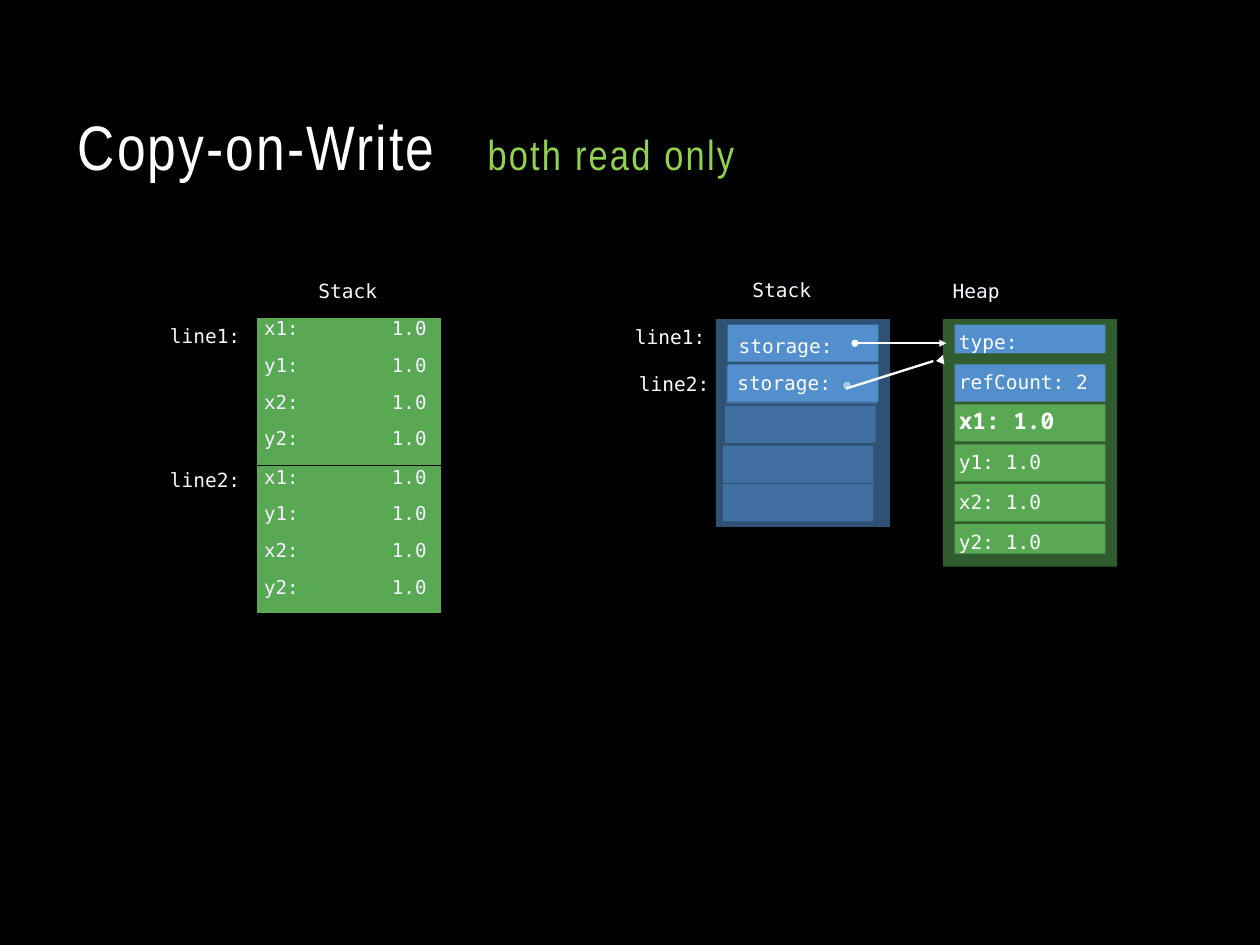
import lxml.etree
import pptx
import pptx.dml.color
import pptx.enum.shapes
import pptx.enum.text
import pptx.oxml.ns
import pptx.util

Pt = pptx.util.Pt
qn = pptx.oxml.ns.qn
SHAPES = pptx.enum.shapes.MSO_SHAPE
STRAIGHT = pptx.enum.shapes.MSO_CONNECTOR.STRAIGHT
ANCHOR_TOP = pptx.enum.text.MSO_ANCHOR.TOP
ALIGN = pptx.enum.text.PP_ALIGN
MONO = "DejaVu Sans Mono"
WHITE, PALE = "FFFFFF", "F7F7FF"
BLUE, GREEN = "528FCC", "58A854"
ROW_TOP, ROW_PITCH, ROW_WIDTH, ROW_HEIGHT = 339.84, 41.76, 157.7, 38.9


def paint(fill, color):
    fill.solid()
    fill.fore_color.rgb = pptx.dml.color.RGBColor.from_string(color)


def write(frame, text, size=20.4, font=MONO, color=WHITE, left=0, top=0):
    frame.text = text
    frame.word_wrap = True
    frame.vertical_anchor = ANCHOR_TOP
    frame.margin_left, frame.margin_top = Pt(left), Pt(top)
    frame.margin_right = frame.margin_bottom = 0
    para = frame.paragraphs[0]
    para.alignment = ALIGN.LEFT
    for span in para.runs:
        span.font.name = font
        span.font.size = Pt(size)
        paint(span.font.fill, color)


deck = pptx.Presentation()
deck.slide_width, deck.slide_height = Pt(1319), Pt(989.3)
page = deck.slides.add_slide(deck.slide_layouts[5])
paint(page.background.fill, "000000")

title = page.shapes.title
title.left, title.top, title.width, title.height = Pt(81.4), Pt(112.3), Pt(1156.3), Pt(80)
write(title.text_frame, "Copy-on-Write\t", 65.8, "Arial Narrow")
para = title.text_frame.paragraphs[0]
tabs = lxml.etree.SubElement(para._p.get_or_add_pPr(), qn("a:tabLst"))
lxml.etree.SubElement(tabs, qn("a:tab"), pos=str(Pt(429)), algn="l")
subtitle = para.add_run()
subtitle.text = "both read only"
subtitle.font.name = "Arial Narrow"
subtitle.font.size = Pt(44)
paint(subtitle.font.fill, "92D050")
for span in para.runs:
    span._r.get_or_add_rPr().set("spc", "230")

heap_rows = [
    ("type:", BLUE, 30.2),
    ("refCount: 2", BLUE, ROW_HEIGHT),
    ("x1: 1.0", GREEN, ROW_HEIGHT),
    ("y1: 1.0", GREEN, ROW_HEIGHT),
    ("x2: 1.0", GREEN, ROW_HEIGHT),
    ("y2: 1.0", GREEN, 31),
]
blocks = [("", 987.1, 334.1, 182.2, 259.2, "305C2F", 100)]
for index, (text, color, height) in enumerate(heap_rows):
    blocks.append((text, 999.4, ROW_TOP + index * ROW_PITCH, ROW_WIDTH, height, color, 100))
blocks.append(("", 749.5, 334.1, 182.2, 217.4, "2E5174", 100))
for index in range(2):
    blocks.append(("", 761.8, ROW_TOP + index * ROW_PITCH, ROW_WIDTH, ROW_HEIGHT, BLUE, 100))
blocks.append(("dot", 882.7, 399.6, 7.9, 7.9, WHITE, 100))
for left, top in [(760.3, 383.8), (758.9, 424.8), (756.7, 466.6), (756.7, 506.9)]:
    blocks.append(("", left, top, ROW_WIDTH, ROW_HEIGHT, BLUE, 50))
for left, top in [(769, 344.2), (767.5, 382.3)]:
    blocks.append(("storage:", left, top, 112.3, 30.2, BLUE, 100))

for text, left, top, width, height, color, opacity in blocks:
    kind = SHAPES.OVAL if text == "dot" else SHAPES.RECTANGLE
    block = page.shapes.add_shape(kind, Pt(left), Pt(top), Pt(width), Pt(height))
    block.shadow.inherit = False
    block.line.fill.background()
    paint(block.fill, color)
    if opacity < 100:
        tint = block._element.spPr.find(".//" + qn("a:srgbClr"))
        lxml.etree.SubElement(tint, qn("a:alpha"), val=str(opacity * 1000))
    if text == "x1: 1.0":
        write(block.text_frame, text, 23.8, "Noto Sans Mono", left=4.3, top=3)
        block.text_frame.paragraphs[0].runs[0].font.bold = True
    elif text and text != "dot":
        write(block.text_frame, text, left=4.3, top=5.8)

labels = [
    ("Stack", 333.4, 291.6, PALE),
    ("Stack", 787.7, 290.9, PALE),
    ("Heap", 997.2, 292.3, PALE),
    ("line1:", 177.8, 339.1, PALE),
    ("line2:", 177.8, 490.3, PALE),
    ("line1:", 664.6, 339.8, WHITE),
    ("line2:", 668.9, 389.5, WHITE),
]
for text, left, top, color in labels:
    box = page.shapes.add_textbox(Pt(left), Pt(top), Pt(80), Pt(24.5))
    write(box.text_frame, text, color=color)

for top in (332.6, 488.2):
    frame = page.shapes.add_table(4, 2, Pt(269.3), Pt(top), Pt(192.2), Pt(154))
    table = frame.table
    table._tbl.tblPr.find(qn("a:tableStyleId")).text = "{2D5ABB26-0587-4C30-8999-92F81FD0307C}"
    table.first_row = table.horz_banding = False
    table.columns[0].width, table.columns[1].width = Pt(86.4), Pt(105.8)
    for row, name in zip(table.rows, ["x1:", "y1:", "x2:", "y2:"]):
        row.height = Pt(38.5)
        for cell, text in zip(row.cells, [name, "1.0"]):
            paint(cell.fill, GREEN)
            write(cell.text_frame, text, 20, color=PALE)
            cell.vertical_anchor = ANCHOR_TOP
            cell.margin_left, cell.margin_right = Pt(7.2), Pt(15)
            cell.margin_top = cell.margin_bottom = 0
        cell.text_frame.paragraphs[0].alignment = ALIGN.RIGHT

arrows = [
    (895, 359.3, 990.7, 359.3, [("a:headEnd", "oval"), ("a:tailEnd", "triangle")]),
    (885.6, 406.8, 977, 378, []),
]
for left, top, right, bottom, ends in arrows:
    arrow = page.shapes.add_connector(STRAIGHT, Pt(left), Pt(top), Pt(right), Pt(bottom))
    arrow.line.width = Pt(2.47)
    paint(arrow.line.fill, WHITE)
    for tag, kind in ends:
        lxml.etree.SubElement(arrow.line._get_or_add_ln(), qn(tag), type=kind)
    lxml.etree.SubElement(arrow._element.spPr, qn("a:effectLst"))

builder = page.shapes.build_freeform(Pt(987.1), Pt(371.5))
builder.add_line_segments([(Pt(979.9), Pt(378)), (Pt(988.6), Pt(381.6))], close=True)
arrowhead = builder.convert_to_shape()
arrowhead.shadow.inherit = False
arrowhead.line.fill.background()
paint(arrowhead.fill, WHITE)

deck.save("out.pptx")
